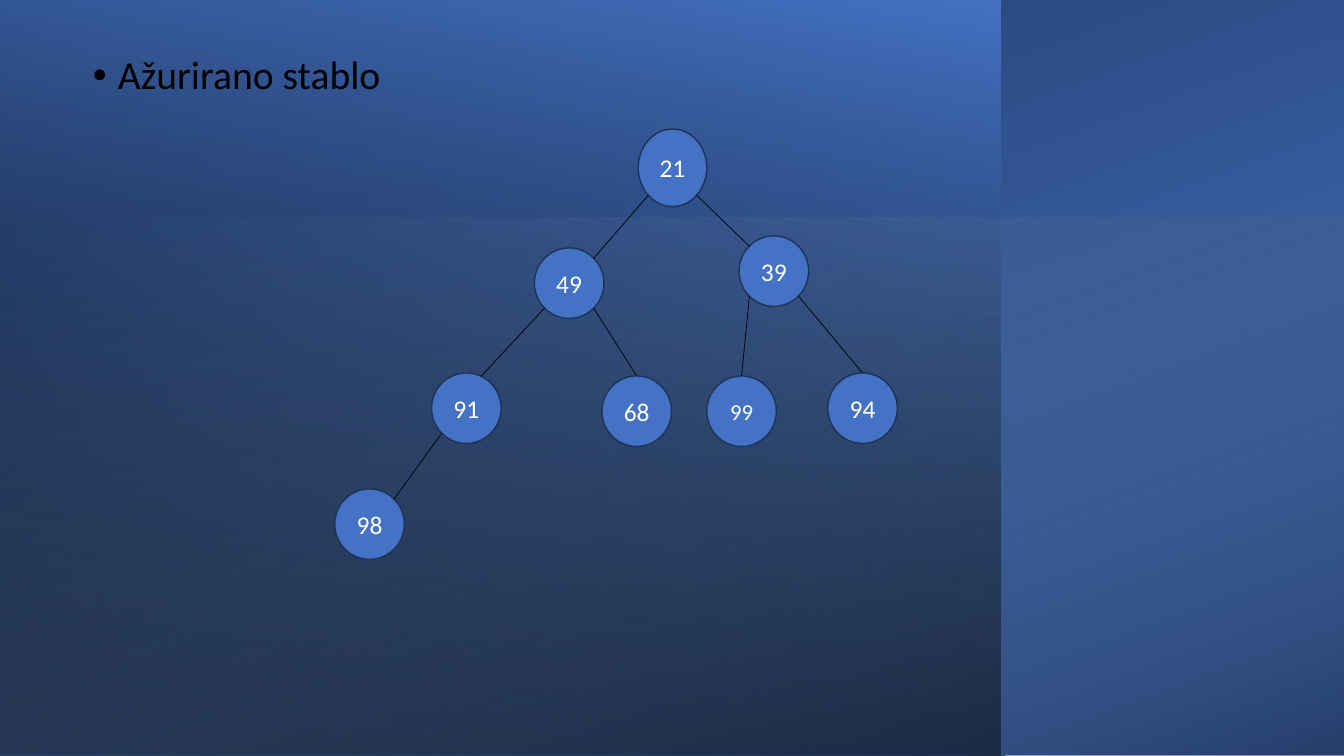
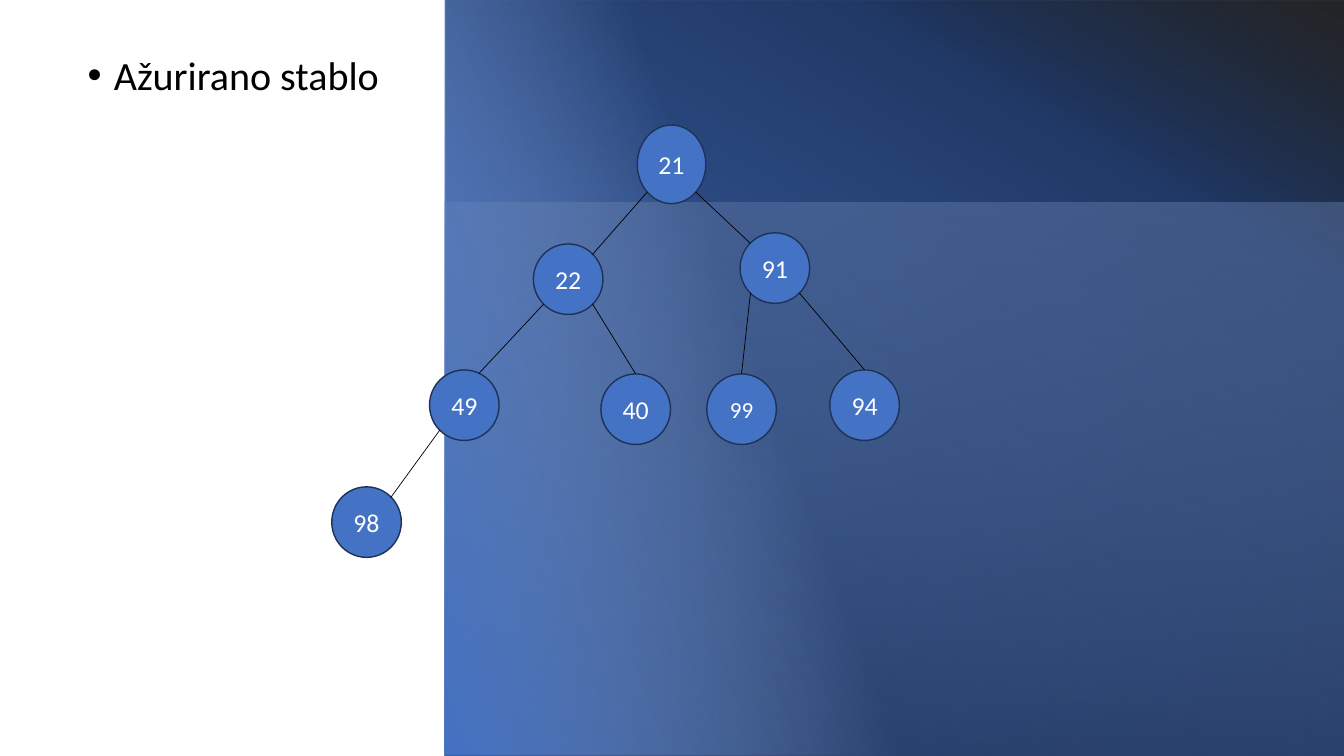
from lxml import etree
from pptx import Presentation
from pptx import util as u
from pptx.dml.color import RGBColor
from pptx.enum import shapes, text
from pptx.oxml import ns

PX = 9144
FONT = "Calibri"
HUES = {"node": "4472C4", "rim": "1E3256", "navy": "203864", "ink": "000000",
        "white": "FFFFFF", "sky": "9DC3E6", "pale": "8FAADC"}
SITES = {"top": (0.5, 0), "arc": (0.71, 0.05), "nw": (0.15, 0.15),
         "ne": (0.85, 0.15), "sw": (0.15, 0.85), "se": (0.85, 0.85)}
EDGES = [(0, "se", 1, "nw"), (2, "ne", 0, "sw"), (3, "arc", 2, "sw"),
         (2, "se", 4, "top"), (1, "sw", 5, "top"), (1, "se", 6, "top"),
         (7, "ne", 3, "sw")]
SMALL = "99"
PAGES = [
    {"panels": [
        ((292, -292, 750, 1333), 270, True, 200,
         [(8, "node", 100), (100, "navy", 100)]),
        ((0, 0, 992, 750), 180, True, 80,
         [(8, "ink", 52), (100, "node", 100)]),
        ((399, -184, 535, 1334), 270, True, 20,
         [(0, "sky", 0), (100, "ink", 46)])],
     "body": (82, 50, 1170, 650), "indent": 25, "gap": 10.1,
     "head": 28.3, "size": 18.2, "root": (68, 77),
     "nodes": [("21", 633, 128), ("39", 733, 234), ("49", 530, 246),
               ("91", 428, 370), ("68", 597, 373), ("99", 701, 373),
               ("94", 821, 370), ("98", 332, 485)]},
    {"panels": [
        ((442, 0, 892, 750), 0, False, 300,
         [(2, "node", 100), (78, "navy", 100), (100, "ink", 85)]),
        ((441, 201, 892, 549), 0, True, 80,
         [(0, "pale", 30), (100, "ink", 44)]),
        ((444, -4, 750, 757), 90, True, 110,
         [(56, "pale", 0), (100, "node", 100)])],
     "body": (77, 50, 1179, 650), "indent": 26, "gap": 10.2,
     "head": 28.6, "size": 18.4, "root": (68, 78),
     "nodes": [("21", 632, 124), ("91", 734, 231), ("22", 529, 242),
               ("49", 426, 367), ("40", 596, 371), ("99", 701, 371),
               ("94", 823, 367), ("98", 329, 483)]},
]


def emu(*vals):
    """Turn px lengths into EMU."""
    return [u.Emu(round(val * PX)) for val in vals]


def hue(name):
    """Look up a colour by name."""
    return RGBColor.from_string(HUES[name])


def style(para, size, name):
    """Format the runs of a paragraph."""
    for run in para.runs:
        run.font.name, run.font.size = FONT, u.Pt(size)
        run.font.color.rgb = hue(name)


def panel(slide, box, turn, flip, angle, stops):
    """Add a borderless rectangle with a linear gradient."""
    rect = slide.shapes.add_shape(shapes.MSO_SHAPE.RECTANGLE, *emu(*box))
    rect.shadow.inherit = False
    rect.line.fill.background()
    rect.rotation = turn
    props = rect.element.spPr
    if flip:
        props.find(ns.qn("a:xfrm")).set("flipH", "1")
    grad = etree.Element(ns.qn("a:gradFill"))
    row = etree.SubElement(grad, ns.qn("a:gsLst"))
    for pos, name, alpha in stops:
        stop = etree.SubElement(row, ns.qn("a:gs"), pos=str(pos * 1000))
        tint = etree.SubElement(stop, ns.qn("a:srgbClr"), val=HUES[name])
        etree.SubElement(tint, ns.qn("a:alpha"), val=str(alpha * 1000))
    etree.SubElement(grad, ns.qn("a:lin"), ang=str(angle * 60000), scaled="0")
    props.find(ns.qn("a:prstGeom")).addnext(grad)


def bullet(slide, words, page):
    """Fill the body placeholder with one bulleted line above the panels."""
    body = slide.placeholders[1]
    body.left, body.top, body.width, body.height = emu(*page["body"])
    slide.shapes.element.append(body.element)
    body.text_frame.text = words
    para = body.text_frame.paragraphs[0]
    para.line_spacing, para.space_before = 0.9, u.Pt(page["gap"])
    props = para.runs[0].font and para.element.get_or_add_pPr() if hasattr(
        para, "element") else para._p.get_or_add_pPr()
    dent = emu(page["indent"])[0]
    props.set("marL", str(dent))
    props.set("indent", str(-dent))
    style(para, page["head"], "ink")


def node(slide, label, box, size):
    """Add a labelled tree node."""
    oval = slide.shapes.add_shape(shapes.MSO_SHAPE.OVAL, *emu(*box))
    oval.shadow.inherit = False
    oval.fill.solid()
    oval.fill.fore_color.rgb = hue("node")
    oval.line.color.rgb, oval.line.width = hue("rim"), u.Pt(1)
    frame = oval.text_frame
    frame.margin_left = frame.margin_right = 0
    frame.margin_top = frame.margin_bottom = 0
    frame.vertical_anchor = text.MSO_ANCHOR.MIDDLE
    frame.text = label
    para = frame.paragraphs[0]
    para.alignment, para.space_after = text.PP_ALIGN.CENTER, u.Pt(6)
    style(para, size, "white")


def site(box, name):
    """Find a point on the rim of a node."""
    left, top, wide, high = box
    across, down = SITES[name]
    return left + across * wide, top + down * high


def edge(slide, start, end):
    """Add a thin line between two points."""
    line = slide.shapes.add_connector(
        shapes.MSO_CONNECTOR.STRAIGHT, *emu(*start, *end))
    line.line.color.rgb, line.line.width = hue("ink"), u.Pt(0.5)
    etree.SubElement(line.element.spPr, ns.qn("a:effectLst"))


def tree(slide, page):
    """Draw the nodes and edges of a heap."""
    boxes = []
    for rank, (label, left, top) in enumerate(page["nodes"]):
        wide, high = (69, 70) if rank else page["root"]
        boxes.append((left, top, wide, high))
        size = page["size"] - (2 if label == SMALL else 0)
        node(slide, label, boxes[-1], size)
    for src, out, dest, into in EDGES:
        edge(slide, site(boxes[src], out), site(boxes[dest], into))


def main():
    """Build and save the deck."""
    deck = Presentation()
    deck.slide_width, deck.slide_height = emu(1333, 750)
    for page in PAGES:
        slide = deck.slides.add_slide(deck.slide_layouts[1])
        title = slide.shapes.title.element
        title.getparent().remove(title)
        for spec in page["panels"]:
            panel(slide, *spec)
        bullet(slide, "Ažurirano stablo", page)
        tree(slide, page)
    deck.save("out.pptx")


if __name__ == "__main__":
    main()
